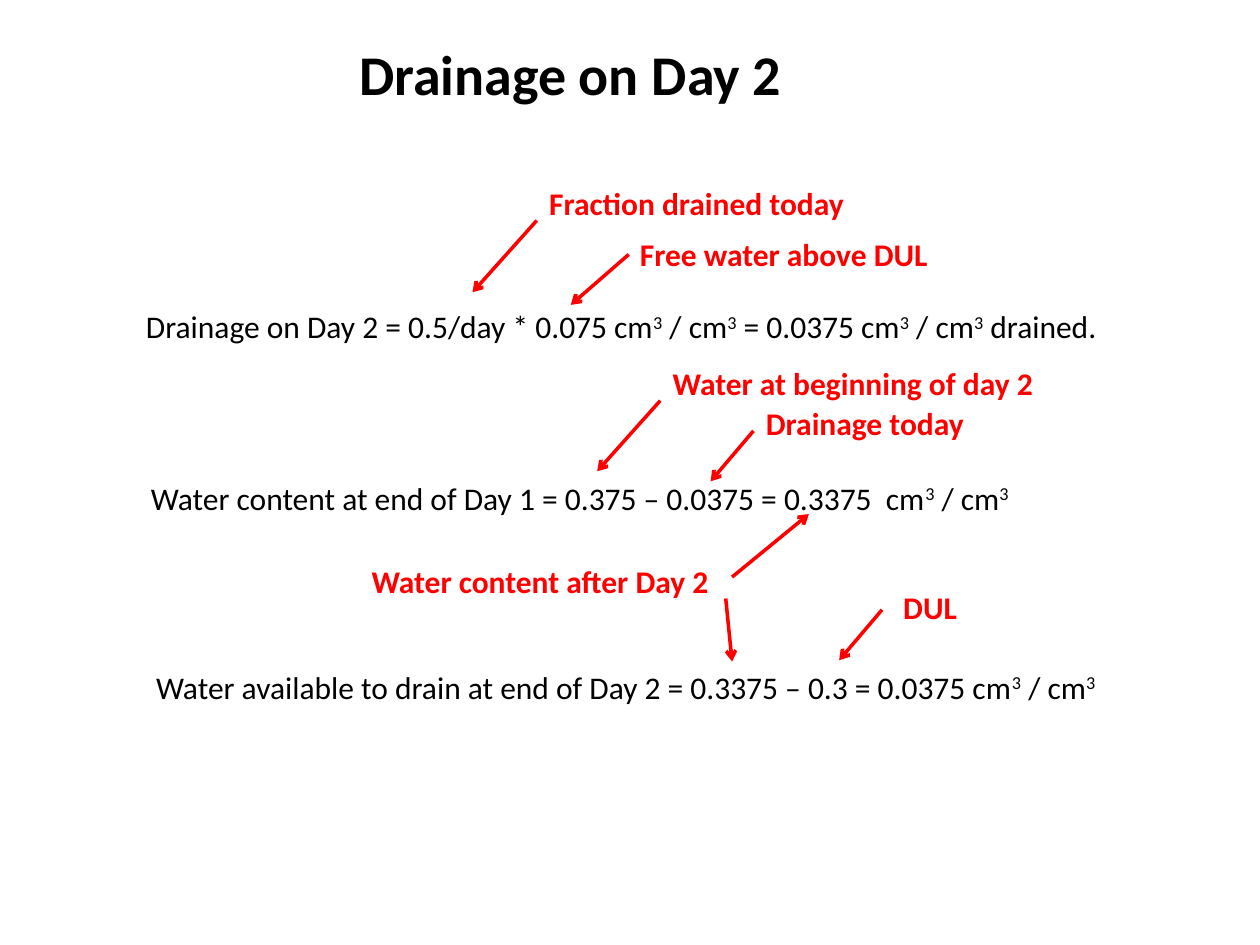
from typing import NamedTuple

from lxml.etree import SubElement
from pptx import Presentation
from pptx.dml.color import RGBColor
from pptx.enum.shapes import MSO_CONNECTOR
from pptx.enum.text import MSO_ANCHOR, MSO_AUTO_SIZE, PP_ALIGN
from pptx.oxml.ns import qn
from pptx.slide import Slide
from pptx.text.text import TextFrame
from pptx.util import Inches, Pt

BLACK = RGBColor(0x00, 0x00, 0x00)
RED = RGBColor(0xFF, 0x00, 0x00)
FONT = "Calibri"
LINE_HEIGHT = 0.4


class TextLine(NamedTuple):
    left: float
    top: float
    width: float
    text: str


class Arrow(NamedTuple):
    start: tuple[float, float]
    end: tuple[float, float]


TITLE = "Drainage on Day 2"

# Each ³ is set as a superscript 3.
EQUATIONS = [
    TextLine(1.06, 2.39, 7.88, "Drainage on Day 2 = 0.5/day * 0.075 cm³ / cm³ = 0.0375 cm³ / cm³ drained."),
    TextLine(1.1, 3.75, 7.17, "Water content at end of Day 1 = 0.375 – 0.0375 = 0.3375  cm³ / cm³"),
    TextLine(1.14, 5.25, 8.08, "Water available to drain at end of Day 2 = 0.3375 – 0.3 = 0.0375 cm³ / cm³"),
]

LABELS = [
    TextLine(4.26, 1.41, 2.56, "Fraction drained today"),
    TextLine(4.98, 1.82, 2.51, "Free water above DUL"),
    TextLine(5.24, 2.84, 3.09, "Water at beginning of day 2"),
    TextLine(5.98, 3.16, 1.79, "Drainage today"),
    TextLine(2.85, 4.41, 2.91, "Water content after Day 2"),
    TextLine(7.07, 4.62, 0.63, "DUL"),
]

ARROWS = [
    Arrow((4.26, 1.75), (3.75, 2.32)),
    Arrow((4.99, 2.02), (4.53, 2.42)),
    Arrow((5.24, 3.18), (4.74, 3.74)),
    Arrow((5.98, 3.42), (5.64, 3.82)),
    Arrow((5.81, 4.58), (6.42, 4.08)),
    Arrow((5.76, 4.75), (5.81, 5.25)),
    Arrow((7, 4.84), (6.66, 5.24)),
]


def fill_text(frame: TextFrame, text: str, size: int, color: RGBColor, bold: bool) -> None:
    """Write one unwrapped line, raising every ³ as a superscript run."""
    frame.word_wrap = False
    frame.auto_size = MSO_AUTO_SIZE.SHAPE_TO_FIT_TEXT
    frame.vertical_anchor = MSO_ANCHOR.TOP
    paragraph = frame.paragraphs[0]
    paragraph.alignment = PP_ALIGN.LEFT
    font = paragraph.font
    font.name, font.size, font.bold = FONT, Pt(size), bold
    font.color.rgb = color
    for index, part in enumerate(text.split("³")):
        if index:
            exponent = paragraph.add_run()
            exponent.text = "3"
            exponent.font._element.set("baseline", "30000")
        if part:
            paragraph.add_run().text = part


def add_title(slide: Slide) -> None:
    title = slide.shapes.title
    title.left, title.top = Inches(2.75), Inches(0.26)
    title.width, title.height = Inches(3.58), Inches(0.64)
    fill_text(title.text_frame, TITLE, 32, BLACK, bold=True)


def add_text_line(slide: Slide, line: TextLine, color: RGBColor, bold: bool) -> None:
    box = slide.shapes.add_textbox(
        Inches(line.left), Inches(line.top), Inches(line.width), Inches(LINE_HEIGHT)
    )
    fill_text(box.text_frame, line.text, 18, color, bold)


def add_arrow(slide: Slide, arrow: Arrow) -> None:
    points = [Inches(value) for value in (*arrow.start, *arrow.end)]
    connector = slide.shapes.add_connector(MSO_CONNECTOR.STRAIGHT, *points)
    connector.line.color.rgb = RED
    connector.line.width = Pt(2)
    properties = connector._element.spPr
    SubElement(properties.find(qn("a:ln")), qn("a:tailEnd"), type="arrow")
    SubElement(properties, qn("a:effectLst"))


def main() -> None:
    presentation = Presentation()
    presentation.slide_width, presentation.slide_height = Inches(10), Inches(7.5)
    title_only = presentation.slide_layouts.get_by_name("Title Only")
    slide = presentation.slides.add_slide(title_only)
    add_title(slide)
    for equation in EQUATIONS:
        add_text_line(slide, equation, BLACK, bold=False)
    for label in LABELS:
        add_text_line(slide, label, RED, bold=True)
    for arrow in ARROWS:
        add_arrow(slide, arrow)
    presentation.save("out.pptx")


if __name__ == "__main__":
    main()
